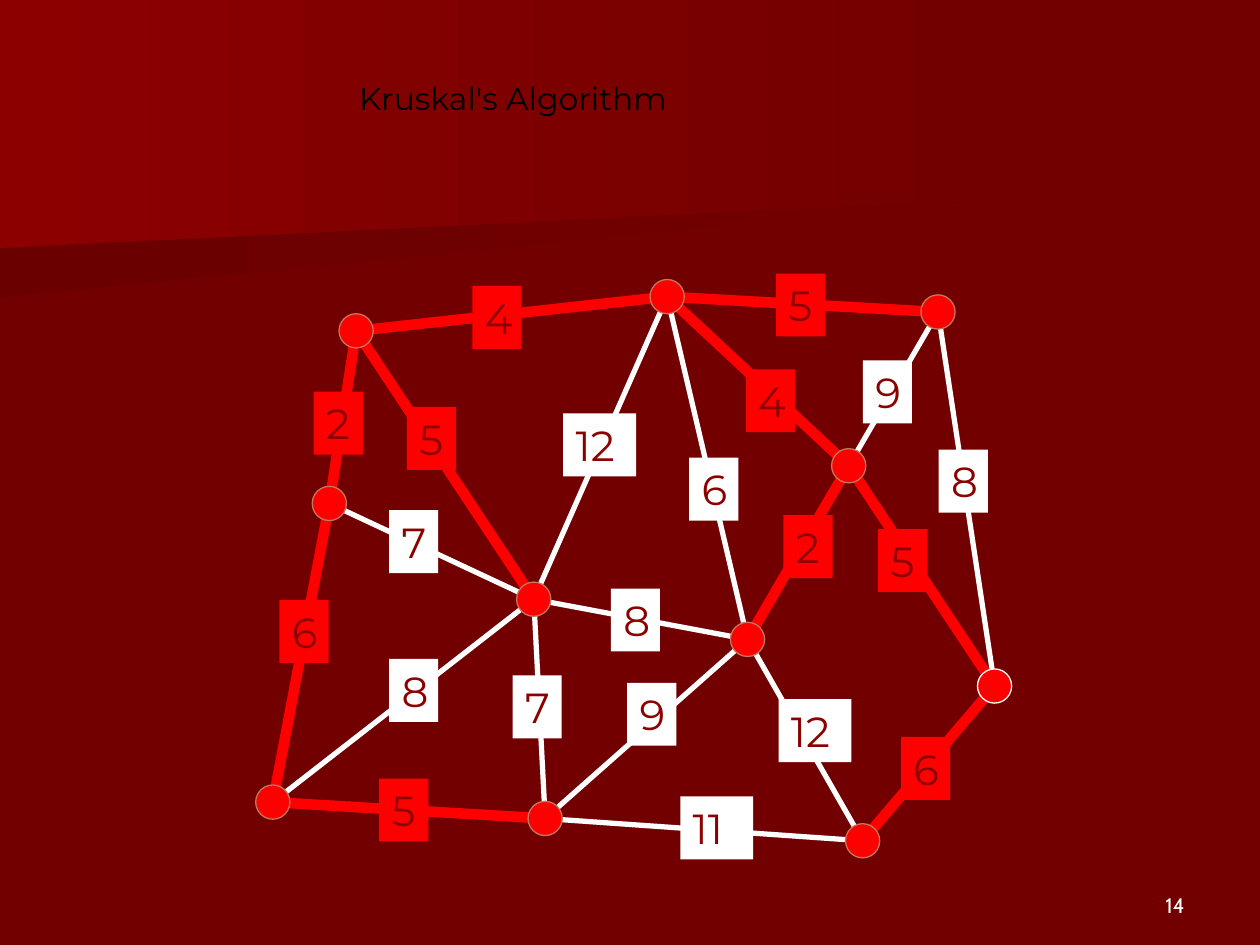
from pptx import Presentation
from pptx.dml.color import RGBColor
from pptx.enum.shapes import MSO_CONNECTOR, MSO_SHAPE
from pptx.enum.text import MSO_ANCHOR, MSO_AUTO_SIZE, PP_ALIGN
from pptx.oxml.ns import qn
from pptx.util import Cm, Pt
from lxml.etree import SubElement

DARK_RED = RGBColor(0x72, 0x00, 0x00)
SHADE_RED = RGBColor(0x6B, 0x00, 0x00)
DEEP_RED = RGBColor(0x8C, 0x00, 0x00)
RED = RGBColor(0xFF, 0x00, 0x00)
COPPER = RGBColor(0xBE, 0x79, 0x60)
WHITE = RGBColor(0xFF, 0xFF, 0xFF)
BLACK = RGBColor(0x00, 0x00, 0x00)

NODE_DIAMETER = 0.69
LABEL_HEIGHT = 1.27
LABEL_WIDTHS = {1: 0.99, 2: 1.47}  # by number of digits

# Start colour and outline of each background band
BANDS = [
    (SHADE_RED, [(19.76, 3.89), (0, 5.51), (0, 2.57), (19.79, 2.57), (19.76, 3.25)]),
    (DEEP_RED, [(20.12, 4.11), (0, 5.28), (0, 0), (20.12, 0)]),
]

# Centre of each node
NODES = {
    "left": (6.64, 10.15),
    "top left": (7.18, 6.67),
    "bottom right": (17.39, 16.95),
    "right": (20.05, 13.83),
    "top right": (18.91, 6.29),
    "hub": (10.76, 12.08),
    "bottom": (10.99, 16.5),
    "inner": (17.11, 9.39),
    "core": (15.07, 12.89),
    "bottom left": (5.5, 16.17),
    "top": (13.45, 5.98),
}

# From, to, weight, centre of the weight label
TREE_EDGES = [
    ("left", "top left", 2, (6.82, 8.53)),
    ("hub", "top left", 5, (8.7, 8.84)),
    ("top right", "top", 5, (16.14, 6.15)),
    ("top left", "top", 4, (10.02, 6.4)),
    ("inner", "top", 4, (15.53, 8.08)),
    ("right", "inner", 5, (18.2, 11.3)),
    ("bottom right", "right", 6, (18.66, 15.49)),
    ("bottom left", "bottom", 5, (8.14, 16.33)),
    ("core", "inner", 2, (16.29, 11.02)),
    ("bottom left", "left", 6, (6.13, 12.73)),
]
OTHER_EDGES = [
    ("hub", "left", 7, (8.34, 10.92)),
    ("right", "top right", 8, (19.42, 9.7)),
    ("inner", "top right", 9, (17.89, 7.9)),
    ("core", "top", 6, (14.39, 9.86)),
    ("bottom right", "core", 12, (16.43, 14.73)),
    ("bottom", "bottom right", 11, (14.45, 16.69)),
    ("bottom left", "hub", 8, (8.34, 13.92)),
    ("bottom", "core", 9, (13.14, 14.4)),
    ("bottom", "hub", 7, (10.83, 14.25)),
    ("top", "hub", 12, (12.09, 8.97)),
    ("core", "hub", 8, (12.81, 12.5)),
]


class GraphSlide:
    title_format = {"name": "Montserrat", "size": Pt(18), "color": BLACK}
    weight_format = {"name": "Montserrat", "size": Pt(24), "color": DEEP_RED}
    number_format = {"name": "Cabin", "size": Pt(12), "color": WHITE}

    def __init__(self, presentation):
        self.slide = presentation.slides.add_slide(presentation.slide_layouts[6])
        self.shapes = self.slide.shapes
        background = self.slide.background.fill
        background.solid()
        background.fore_color.rgb = DARK_RED

    def band(self, start_color, points):
        builder = self.shapes.build_freeform(*points[0], scale=Cm(1))
        builder.add_line_segments(points[1:], close=True)
        shape = builder.convert_to_shape()
        shape.shadow.inherit = False
        shape.line.fill.background()
        shape.fill.gradient()
        shape.fill.gradient_angle = 0
        for stop, color in zip(shape.fill.gradient_stops, (start_color, DARK_RED)):
            stop.color.rgb = color

    def edge(self, start, end, color, width):
        ends = [Cm(value) for value in NODES[start] + NODES[end]]
        connector = self.shapes.add_connector(MSO_CONNECTOR.STRAIGHT, *ends)
        connector.line.color.rgb = color
        connector.line.width = Pt(width)
        SubElement(connector._element.spPr, qn("a:effectLst"))

    def centred_shape(self, kind, centre, width, height, color):
        x, y = centre
        shape = self.shapes.add_shape(
            kind, Cm(x - width / 2), Cm(y - height / 2), Cm(width), Cm(height))
        shape.shadow.inherit = False
        shape.fill.solid()
        shape.fill.fore_color.rgb = color
        return shape

    def node(self, centre, outline):
        shape = self.centred_shape(MSO_SHAPE.OVAL, centre, NODE_DIAMETER, NODE_DIAMETER, RED)
        shape.line.color.rgb = outline
        shape.line.width = Pt(0.75)

    def weight(self, value, centre, color):
        text = str(value)
        shape = self.centred_shape(
            MSO_SHAPE.RECTANGLE, centre, LABEL_WIDTHS[len(text)], LABEL_HEIGHT, color)
        shape.line.fill.background()
        self.set_text(shape, text, self.weight_format, auto_size=MSO_AUTO_SIZE.SHAPE_TO_FIT_TEXT)

    def text(self, box, text, font_format, alignment=PP_ALIGN.LEFT, **frame_format):
        shape = self.shapes.add_textbox(*[Cm(value) for value in box])
        self.set_text(shape, text, font_format, alignment, **frame_format)

    def set_text(self, shape, text, font_format, alignment=PP_ALIGN.LEFT, **frame_format):
        frame = shape.text_frame
        defaults = {"word_wrap": False, "vertical_anchor": MSO_ANCHOR.TOP}
        for name, value in {**defaults, **frame_format}.items():
            setattr(frame, name, value)
        paragraph = frame.paragraphs[0]
        paragraph.alignment = alignment
        run = paragraph.add_run()
        run.text = text
        for name, value in font_format.items():
            if name == "color":
                run.font.color.rgb = value
            else:
                setattr(run.font, name, value)


def main():
    presentation = Presentation()
    presentation.slide_width, presentation.slide_height = Cm(25.4), Cm(19.05)
    graph = GraphSlide(presentation)

    for start_color, points in BANDS:
        graph.band(start_color, points)
    graph.text((18.21, 17.35, 5.92, 1.27), "14", graph.number_format, PP_ALIGN.RIGHT,
               word_wrap=True, vertical_anchor=MSO_ANCHOR.BOTTOM)

    edge_groups = [(OTHER_EDGES, WHITE, 3), (TREE_EDGES, RED, 6)]
    for edges, color, width in edge_groups:
        for start, end, _, _ in edges:
            graph.edge(start, end, color, width)
    for name, centre in NODES.items():
        graph.node(centre, WHITE if name == "right" else COPPER)
    for edges, color, _ in edge_groups:
        for _, _, value, centre in edges:
            graph.weight(value, centre, color)

    graph.text((6.99, 1.47, 11.86, 1.7), "Kruskal's Algorithm", graph.title_format)
    presentation.save("out.pptx")


if __name__ == "__main__":
    main()
